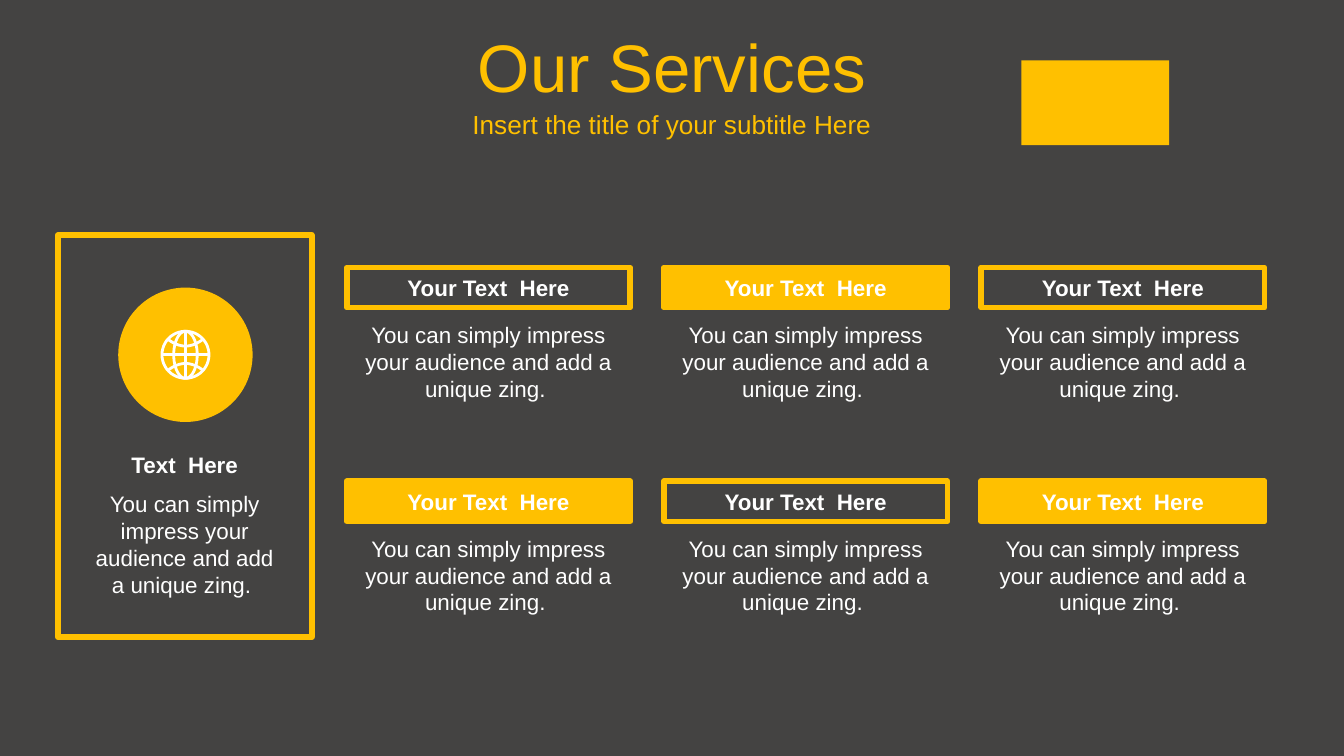
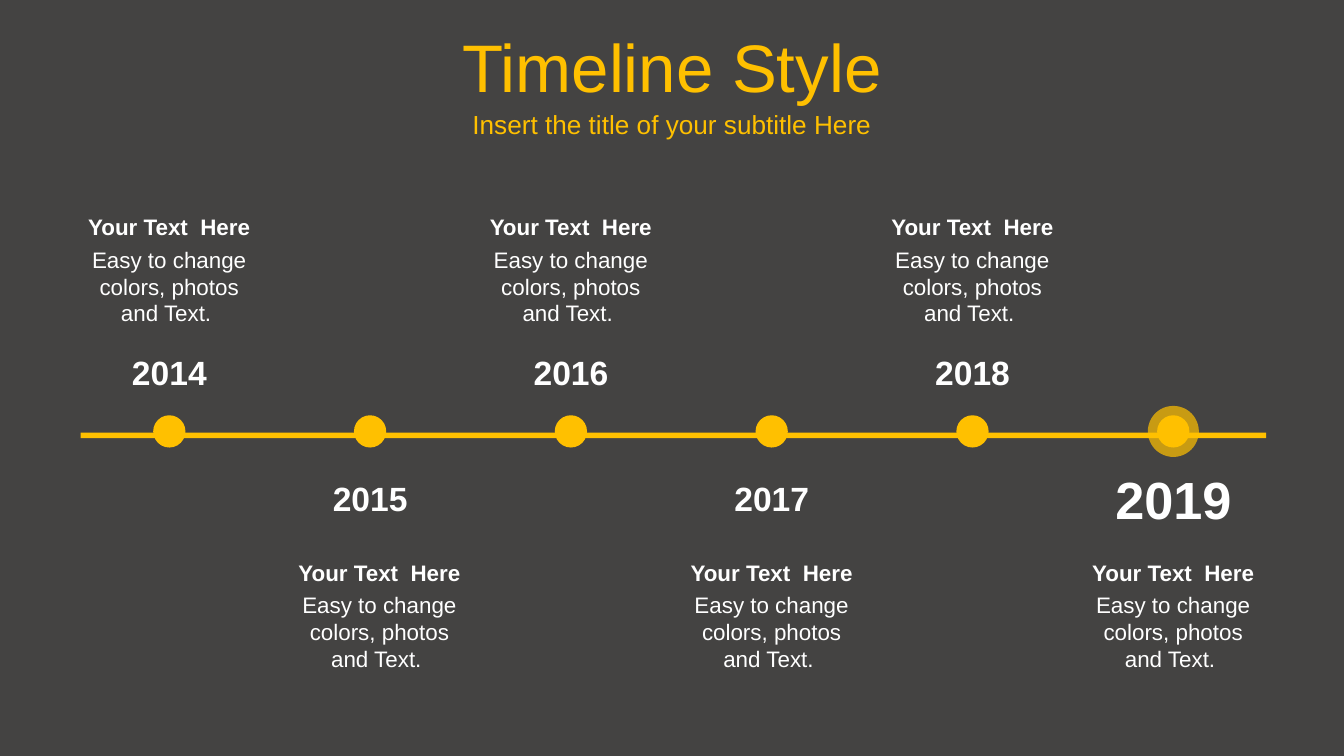
"""Builds a two-slide dark deck: a services grid and a yearly timeline."""
from dataclasses import dataclass
from math import cos, pi, sin

from lxml.etree import SubElement
from pptx import Presentation
from pptx.dml.color import RGBColor as Color
from pptx.enum.shapes import MSO_SHAPE as Preset
from pptx.enum.text import MSO_ANCHOR as Anchor
from pptx.enum.text import MSO_AUTO_SIZE as AutoSize
from pptx.enum.text import PP_ALIGN as Align
from pptx.oxml.ns import qn
from pptx.util import Inches, Pt


@dataclass(frozen=True)
class Theme:
    font: str = "Arial"
    background: Color = Color(0x44, 0x43, 0x42)
    accent: Color = Color(0xFF, 0xC0, 0x00)
    light: Color = Color(0xFF, 0xFF, 0xFF)
    title_size: int = 36
    subtitle_size: int = 14
    text_size: int = 12
    year_size: int = 18
    final_year_size: int = 28
    frame_width: float = 3
    icon_width: float = 1.5


COLUMNS = 100
SUBTITLE = "Insert the title of your subtitle Here"
HEADING = "Your Text  Here"
PITCH = "You can simply impress your audience and add a unique zing. "
DETAIL = "Easy to change colors, photos and Text. "


class Deck:
    def __init__(self, theme):
        self.theme = theme
        self.presentation = Presentation()
        self.presentation.slide_width = Inches(10)
        self.presentation.slide_height = Inches(5.625)
        self.module = self.presentation.slide_width / COLUMNS
        self.slide = None

    def grid(self, *lengths):
        return [round(length * self.module) for length in lengths]

    def new_slide(self, title):
        layout = self.presentation.slide_layouts[0]
        self.slide = self.presentation.slides.add_slide(layout)
        background = self.slide.background.fill
        background.solid()
        background.fore_color.rgb = self.theme.background
        heading, subtitle = self.slide.placeholders
        self.banner(heading, title, 1.7, 6.3, self.theme.title_size)
        self.banner(subtitle, SUBTITLE, 7.7, 3.1, self.theme.subtitle_size)

    def banner(self, placeholder, words, top, height, size):
        (placeholder.left, placeholder.top,
         placeholder.width, placeholder.height) = self.grid(0, top, COLUMNS, height)
        paragraph = self.set_text(placeholder, words, size, self.theme.accent,
                                  anchor=Anchor.MIDDLE, fit=AutoSize.NONE)
        paragraph.space_before = Pt(round(size * 0.14))

    def set_text(self, shape, words, size, color, bold=False,
                 anchor=Anchor.TOP, fit=AutoSize.SHAPE_TO_FIT_TEXT):
        frame = shape.text_frame
        frame.word_wrap = True
        frame.auto_size = fit
        frame.vertical_anchor = anchor
        paragraph = frame.paragraphs[0]
        paragraph.alignment = Align.CENTER
        run = paragraph.add_run()
        run.text = words
        run.font.name = self.theme.font
        run.font.size = Pt(size)
        run.font.bold = bold
        run.font.color.rgb = color
        return paragraph

    def text(self, words, left, top, width, height, size=None, bold=False,
             anchor=Anchor.TOP):
        box = self.slide.shapes.add_textbox(*self.grid(left, top, width, height))
        self.set_text(box, words, size or self.theme.text_size, self.theme.light,
                      bold, anchor)

    def shape(self, preset, left, top, width, height, filled=True, framed=False):
        shape = self.slide.shapes.add_shape(
            preset, *self.grid(left, top, width, height))
        shape.shadow.inherit = False
        if filled:
            shape.fill.solid()
            shape.fill.fore_color.rgb = self.theme.accent
        else:
            shape.fill.background()
        if framed:
            shape.line.color.rgb = self.theme.accent
            shape.line.width = Pt(self.theme.frame_width)
        else:
            shape.line.fill.background()
        return shape

    def disc(self, center_x, center_y, diameter, opacity=100):
        disc = self.shape(Preset.OVAL, center_x - diameter / 2,
                          center_y - diameter / 2, diameter, diameter)
        if opacity < 100:
            color = disc.element.spPr.find(qn("a:solidFill"))[0]
            SubElement(color, qn("a:alpha"), val=str(opacity * 1000))

    def card(self, left, top, filled):
        header = self.shape(Preset.RECTANGLE, left, top, 21.1, 3, filled, framed=True)
        self.set_text(header, HEADING, self.theme.text_size, self.theme.light, bold=True)
        self.text(PITCH, left, top + 3.5, 21.1, 7.1)

    def globe(self, center_x, center_y, radius):
        turns = [2 * pi * step / 48 for step in range(49)]
        spread = [step / 8 * 0.75 for step in range(-8, 9)]
        strokes = [[(width * cos(turn), sin(turn)) for turn in turns]
                   for width in (1, 0.5)]
        strokes += [[(x, side * (0.37 + 0.52 * x * x)) for x in spread]
                    for side in (-1, 1)]
        strokes += [[(-1, 0), (1, 0)], [(0, -1), (0, 1)]]
        placed = [[self.grid(center_x + radius * x, center_y + radius * y)
                   for x, y in stroke] for stroke in strokes]
        builder = self.slide.shapes.build_freeform(*placed[0][0])
        builder.add_line_segments(placed[0][1:], close=False)
        for stroke in placed[1:]:
            builder.move_to(*stroke[0])
            builder.add_line_segments(stroke[1:], close=False)
        globe = builder.convert_to_shape()
        globe.shadow.inherit = False
        globe.fill.background()
        globe.line.color.rgb = self.theme.light
        globe.line.width = Pt(self.theme.icon_width)


def build_services(deck):
    deck.new_slide("Our Services")
    for row in range(2):
        for column in range(3):
            deck.card(25.8 + 23.6 * column, 19.9 + 15.9 * row,
                      filled=(row + column) % 2 == 1)
    deck.shape(Preset.RECTANGLE, 4.3, 17.5, 18.9, 29.9, filled=False, framed=True)
    deck.text(PITCH, 5.9, 36, 15.7, 9.1)
    deck.text("Text  Here", 5.9, 33.1, 15.7, 3, bold=True)
    deck.disc(13.8, 26.4, 10)
    deck.globe(13.8, 26.4, 1.75)
    deck.shape(Preset.RECTANGLE, 76, 4.5, 11, 6.3)


def build_timeline(deck):
    deck.new_slide("Timeline Style")
    deck.shape(Preset.RECTANGLE, 6, 32.2, 88.2, 0.4)
    years = range(2014, 2020)
    for index, year in enumerate(years):
        center = 12.6 + 14.94 * index
        above = index % 2 == 0
        final = year == years[-1]
        if final:
            deck.disc(center, 32.1, 3.8, opacity=71)
        deck.disc(center, 32.1, 2.4)
        width, height = (12.9, 5.7) if final else (8.9, 4)
        size = deck.theme.final_year_size if final else deck.theme.year_size
        middle = 27.7 if above else 37.1
        deck.text(str(year), center - width / 2, middle - height / 2, width, height,
                  size, bold=True, anchor=Anchor.MIDDLE)
        left = center - 7.15 + (0.7 if year == 2015 else 0)
        top = 15.4 if above else 41.1
        deck.text(DETAIL, left, top + 2.4, 14.3, 7.1)
        deck.text(HEADING, left, top, 14.3, 3, bold=True)


def main():
    deck = Deck(Theme())
    build_services(deck)
    build_timeline(deck)
    deck.presentation.save("out.pptx")


if __name__ == "__main__":
    main()
